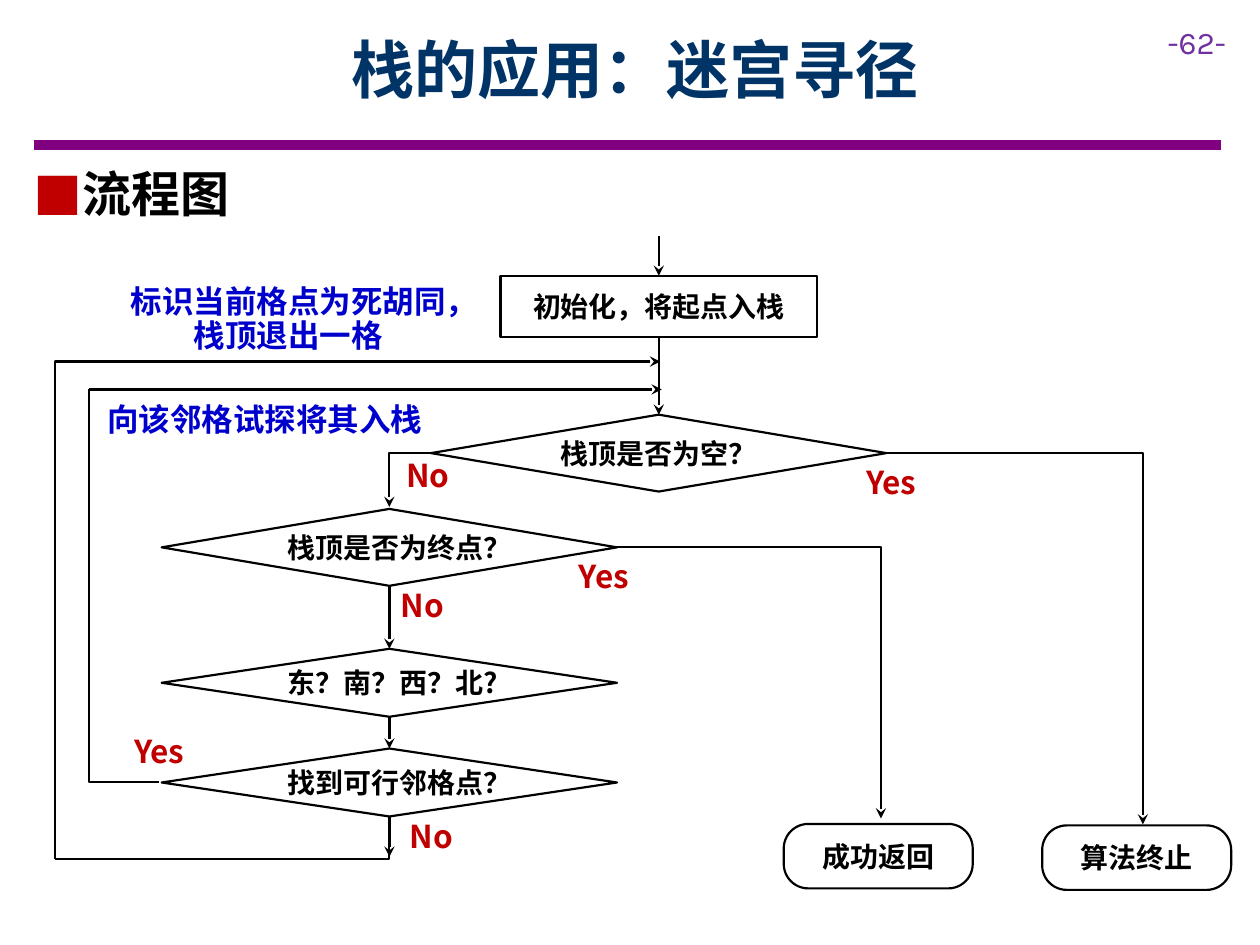
from lxml import etree
from pptx import Presentation
from pptx.dml.color import RGBColor
from pptx.enum.shapes import MSO_CONNECTOR, MSO_SHAPE
from pptx.enum.text import MSO_ANCHOR, PP_ALIGN
from pptx.oxml.ns import qn
from pptx.util import Cm, Pt

STRAIGHT = MSO_CONNECTOR.STRAIGHT
ELBOW = MSO_CONNECTOR.ELBOW
RECT, DIAMOND, ROUND = MSO_SHAPE.RECTANGLE, MSO_SHAPE.DIAMOND, MSO_SHAPE.ROUNDED_RECTANGLE
TOP, MIDDLE = MSO_ANCHOR.TOP, MSO_ANCHOR.MIDDLE
LEFT, CENTER = PP_ALIGN.LEFT, PP_ALIGN.CENTER
CJK = "Noto Sans CJK SC"
BLACK, RED, BLUE = "000000", "C00000", "0000CC"
rgb = RGBColor.from_string

prs = Presentation()
prs.slide_width, prs.slide_height = Cm(25.4), Cm(19.05)
s = prs.slides.add_slide(prs.slide_layouts[6])


def write(sp, text, size, color, align=CENTER, anchor=MIDDLE, font=CJK, bold=True):
    tf = sp.text_frame
    tf.word_wrap = True
    tf.vertical_anchor = anchor
    if anchor == MIDDLE:
        tf.margin_left = tf.margin_right = tf.margin_top = tf.margin_bottom = Cm(0.25)
    p = tf.paragraphs[0]
    p.alignment = align
    r = p.add_run()
    r.text = text
    r.font.size, r.font.bold, r.font.name = Pt(size), bold, font
    r.font.color.rgb = rgb(color)
    etree.SubElement(r._r.get_or_add_rPr(), qn("a:ea"), typeface=font)
    return p


def link(kind, x1, y1, x2, y2, arrow=None, color=BLACK, width=1.25):
    c = s.shapes.add_connector(kind, Cm(x1), Cm(y1), Cm(x2), Cm(y2))
    c.line.color.rgb, c.line.width = rgb(color), Pt(width)
    spPr = c._element.spPr
    if kind == ELBOW:
        spPr.find(qn("a:prstGeom")).set("prst", "bentConnector2")
    if arrow:
        etree.SubElement(c.line._get_or_add_ln(), qn(arrow), type="stealth")
    etree.SubElement(spPr, qn("a:effectLst"))
    return c


link(STRAIGHT, 0.69, 2.92, 24.61, 2.92, color="800080", width=6)

sp = s.shapes.add_textbox(Cm(23.29), Cm(0.33), Cm(2.11), Cm(1.02))
write(sp, "-62-", 18, "7030A0", LEFT, TOP, "Karla", False)

sp = s.shapes.add_textbox(Cm(2.24), Cm(0.66), Cm(21.11), Cm(2.54))
write(sp, "栈的应用：迷宫寻径", 36, "003366", anchor=TOP).line_spacing = 0.9

sp = s.shapes.add_textbox(Cm(0.43), Cm(3.3), Cm(24.05), Cm(1.45))
p = write(sp, "流程图", 28, BLACK, LEFT, TOP)
p.line_spacing = 0.9
pPr = p._p.get_or_add_pPr()
pPr.set("marL", str(Cm(0.95)))
pPr.set("indent", str(Cm(-0.95)))
clr = etree.SubElement(pPr, qn("a:buClr"))
etree.SubElement(clr, qn("a:srgbClr"), val=RED)
etree.SubElement(pPr, qn("a:buFont"), typeface=CJK)
etree.SubElement(pPr, qn("a:buChar"), char="■")

nodes = {}
for name, kind, x, y, w, h, text, align in [
    ("init", RECT, 10.09, 5.56, 6.38, 1.24, "初始化，将起点入栈", CENTER),
    ("empty", DIAMOND, 8.69, 8.36, 9.18, 1.55, "栈顶是否为空？", CENTER),
    ("goal", DIAMOND, 3.26, 10.26, 9.18, 1.55, "栈顶是否为终点？", LEFT),
    ("direction", DIAMOND, 3.26, 13.08, 9.18, 1.37, "东？南？西？北?", LEFT),
    ("neighbour", DIAMOND, 3.26, 15.09, 9.18, 1.37, "找到可行邻格点？", LEFT),
    ("success", ROUND, 15.8, 16.61, 3.81, 1.3, "成功返回", CENTER),
    ("stop", ROUND, 21.01, 16.64, 3.81, 1.3, "算法终止", CENTER),
]:
    sp = s.shapes.add_shape(kind, Cm(x), Cm(y), Cm(w), Cm(h))
    sp.shadow.inherit = False
    sp.fill.background()
    sp.line.color.rgb, sp.line.width = rgb(BLACK), Pt(1.25)
    if kind == ROUND:
        sp.adjustments[0] = 0.38
    write(sp, text, 16, BLACK, align)
    if align == LEFT:
        sp.text_frame.word_wrap = False
    nodes[name] = sp

link(STRAIGHT, 13.28, 4.75, 13.28, 5.56, "a:tailEnd").end_connect(nodes["init"], 0)
for start, end in [("init", "empty"), ("goal", "direction"), ("direction", "neighbour")]:
    c = link(STRAIGHT, 0, 0, 1, 1, "a:tailEnd")
    c.begin_connect(nodes[start], 2)
    c.end_connect(nodes[end], 0)
link(STRAIGHT, 7.85, 16.46, 7.85, 17.27, "a:tailEnd").begin_connect(nodes["neighbour"], 2)
link(STRAIGHT, 1.79, 7.85, 13.34, 7.85, "a:tailEnd")

for x1, y1, x2, y2, arrow in [
    (17.87, 9.14, 23.04, 16.62, "a:tailEnd"),
    (12.44, 11.03, 17.76, 16.5, "a:tailEnd"),
    (8.69, 9.14, 7.85, 10.22, "a:tailEnd"),
    (3.2, 15.76, 1.79, 7.85, None),
    (1.11, 17.32, 7.85, 16.46, None),
    (13.31, 7.29, 1.11, 17.32, "a:headEnd"),
]:
    link(ELBOW, x1, y1, x2, y2, arrow)

for x, y, w, h, text, color in [
    (7.7, 9.12, 1.85, 0.89, "No", RED),
    (7.59, 11.76, 1.85, 0.89, "No", RED),
    (7.77, 16.41, 1.85, 0.89, "No", RED),
    (17.07, 9.3, 1.8, 0.84, "Yes", RED),
    (11.02, 11.2, 2.31, 0.84, "Yes", RED),
    (2.31, 14.71, 1.8, 0.84, "Yes", RED),
    (1.78, 8, 7.11, 0.89, "向该邻格试探将其入栈", BLUE),
]:
    write(s.shapes.add_textbox(Cm(x), Cm(y), Cm(w), Cm(h)), text, 18, color)

sp = s.shapes.add_textbox(Cm(2.24), Cm(5.64), Cm(7.14), Cm(1.8))
write(sp, "标识当前格点为死胡同，栈顶退出一格", 18, BLUE, anchor=TOP).line_spacing = 0.9

prs.save("out.pptx")
